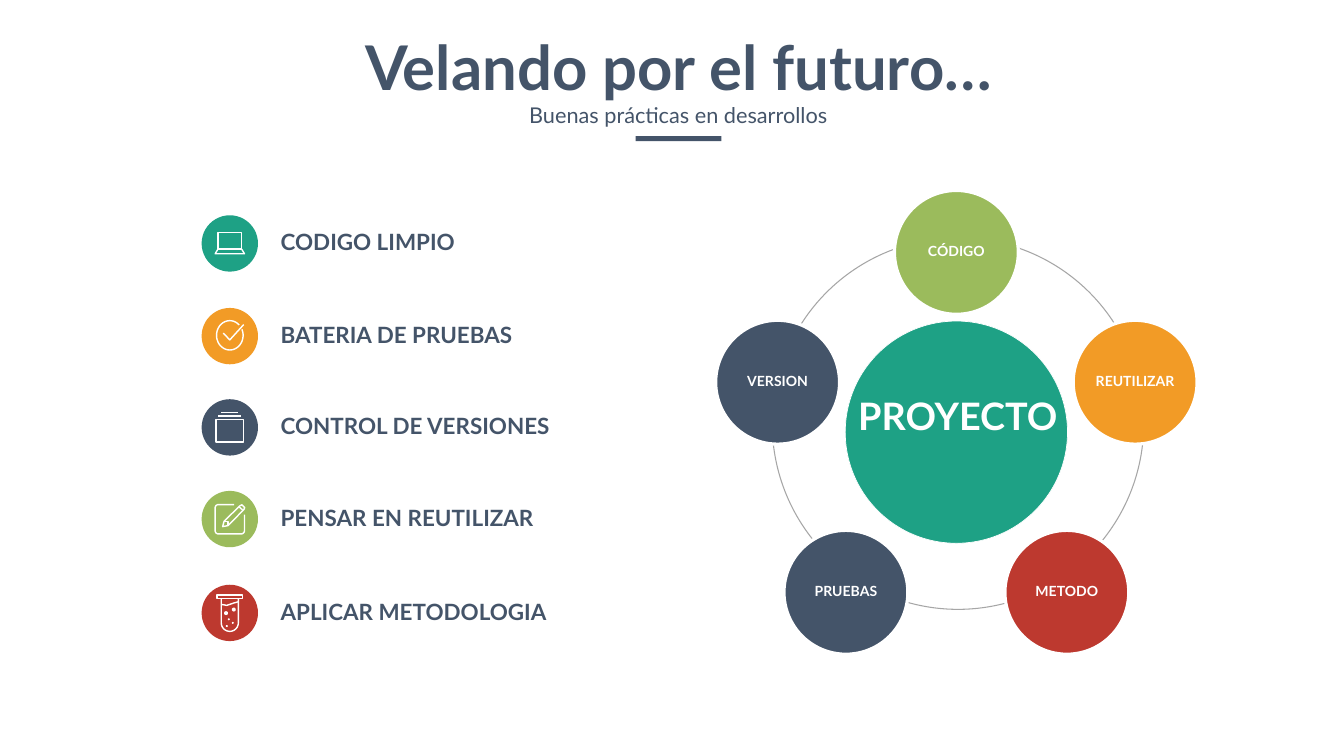
import math

import pptx
import pptx.dml.color
import pptx.enum.shapes
import pptx.enum.text
import pptx.oxml.ns
import pptx.util
from lxml import etree
from pptx.util import Cm, Pt

RGBColor = pptx.dml.color.RGBColor
SHAPE = pptx.enum.shapes.MSO_SHAPE
ALIGN = pptx.enum.text.PP_ALIGN
ANCHOR = pptx.enum.text.MSO_ANCHOR

WHITE = RGBColor(0xFF, 0xFF, 0xFF)
NAVY = RGBColor(0x44, 0x54, 0x69)
TEAL = RGBColor(0x1E, 0xA1, 0x85)
GREEN = RGBColor(0x9B, 0xBB, 0x5C)
ORANGE = RGBColor(0xF2, 0x9B, 0x26)
RED = RGBColor(0xBD, 0x39, 0x2F)
GREY = RGBColor(0xA6, 0xA6, 0xA6)
FONT = "Lato"


def rectangle(left, top, width, height):
    right, bottom = left + width, top + height
    return [(left, top), (right, top), (right, bottom), (left, bottom), (left, top)]


def arc(x, y, radius_x, radius_y, start, end, steps=36):
    angles = [math.radians(start + (end - start) * i / steps) for i in range(steps + 1)]
    return [(x + radius_x * math.cos(a), y + radius_y * math.sin(a)) for a in angles]


# Content. Icon strokes are point lists in cm from the centre of their disc.
LAPTOP = [
    rectangle(-0.6, -0.55, 1.2, 0.84),
    [(-0.6, 0.29), (0.6, 0.29), (0.74, 0.52), (-0.74, 0.52), (-0.6, 0.29)],
]
CHECK = [
    arc(0, -0.04, 0.67, 0.74, -24, 315 - 360 + 360),
    [(-0.33, -0.15), (0, 0.19), (0.7, -0.58)],
]
FOLDER = [
    rectangle(-0.69, -0.39, 1.38, 1.12),
    [(-0.58, -0.57), (0.58, -0.57)],
    [(-0.43, -0.74), (0.43, -0.74)],
]
PENCIL = [
    [(0.22, -0.73)] + arc(-0.57, -0.56, 0.17, 0.17, 270, 180, 6)
    + arc(-0.57, 0.58, 0.17, 0.17, 180, 90, 6)
    + arc(0.57, 0.58, 0.17, 0.17, 90, 0, 6) + [(0.74, -0.22)],
    [(-0.36, 0.38), (-0.29, 0.11), (0.5, -0.66), (0.61, -0.72), (0.75, -0.58),
     (0.71, -0.48), (-0.09, 0.33), (-0.36, 0.38)],
    [(0.48, -0.61), (0.64, -0.46)],
    [(-0.27, 0.13), (-0.1, 0.13), (-0.1, 0.3)],
]
TUBE = [
    rectangle(-0.64, -0.91, 1.27, 0.18),
    [(-0.43, -0.7)] + arc(0, 0.5, 0.43, 0.43, 180, 0, 18) + [(0.43, -0.7)],
    [(-0.43, -0.43), (-0.15, -0.38), (0.2, -0.5), (0.43, -0.56)],
]
BUBBLES = [(0.15, 0.5, 0.05), (0.2, -0.17, 0.1), (-0.15, 0.66, 0.05),
           (-0.19, 0.01, 0.1), (-0.05, 0.32, 0.05)]

# Label, colour, centre height, icon strokes, icon dots
PRACTICES = [
    ("CODIGO LIMPIO", TEAL, 12.27, LAPTOP, []),
    ("BATERIA DE PRUEBAS", ORANGE, 16.94, CHECK, []),
    ("CONTROL DE VERSIONES", NAVY, 21.54, FOLDER, []),
    ("PENSAR EN REUTILIZAR", GREEN, 26.16, PENCIL, []),
    ("APLICAR METODOLOGIA", RED, 30.89, TUBE, BUBBLES),
]
# Clockwise from the top
SATELLITES = [("CÓDIGO", GREEN), ("REUTILIZAR", ORANGE), ("METODO", RED),
              ("PRUEBAS", NAVY), ("VERSION", NAVY)]

deck = pptx.Presentation()
deck.slide_width, deck.slide_height = Cm(67.72), Cm(38.1)
page = deck.slides.add_slide(deck.slide_layouts[6])


def paint(shape, fill=None, line=None, weight=1):
    shape.shadow.inherit = False
    if fill is None:
        shape.fill.background()
    else:
        shape.fill.solid()
        shape.fill.fore_color.rgb = fill
    if line is None:
        shape.line.fill.background()
    else:
        shape.line.color.rgb = line
        shape.line.width = Pt(weight)


def add_disc(parent, x, y, diameter, **style):
    left, top = x - diameter / 2, y - diameter / 2
    disc = parent.shapes.add_shape(SHAPE.OVAL, Cm(left), Cm(top), Cm(diameter), Cm(diameter))
    paint(disc, **style)
    return disc


def write(shape, text, size, color, bold=True, align=ALIGN.CENTER,
          anchor=ANCHOR.TOP, insets=(0.25, 0.13, 0.25, 0.13), spacing=None, after=None):
    frame = shape.text_frame
    frame.word_wrap = False
    frame.vertical_anchor = anchor
    (frame.margin_left, frame.margin_top,
     frame.margin_right, frame.margin_bottom) = map(Cm, insets)
    para = frame.paragraphs[0]
    para.alignment = align
    para.line_spacing = spacing
    para.space_after = after
    span = para.add_run()
    span.text = text
    span.font.name, span.font.size, span.font.bold = FONT, Pt(size), bold
    span.font.color.rgb = color


def add_text(left, top, width, height, *content, **style):
    box = page.shapes.add_textbox(Cm(left), Cm(top), Cm(width), Cm(height))
    write(box, *content, **style)


def add_stroke(parent, x, y, offsets):
    points = [(Cm(x + dx), Cm(y + dy)) for dx, dy in offsets]
    if len(points) == 2:
        stroke = parent.shapes.add_connector(
            pptx.enum.shapes.MSO_CONNECTOR.STRAIGHT, *points[0], *points[1])
        etree.SubElement(stroke._element.spPr, pptx.oxml.ns.qn("a:effectLst"))
        stroke.line.color.rgb = WHITE
        stroke.line.width = Pt(2)
        return
    builder = parent.shapes.build_freeform(*points[0])
    builder.add_line_segments(points[1:], close=points[0] == points[-1])
    paint(builder.convert_to_shape(), line=WHITE, weight=2)


# Heading
rule = page.shapes.add_shape(SHAPE.RECTANGLE, Cm(32.03), Cm(6.86), Cm(4.32), Cm(0.25))
paint(rule, fill=NAVY)
add_text(16.69, 1.35, 35, 4.01, "Velando por el futuro…", 88, NAVY)
add_text(25.7, 4.55, 16.94, 2.06, "Buenas prácticas en desarrollos", 31, NAVY,
         bold=False, insets=(0.61, 0.3, 0.61, 0.3), spacing=1.2)

# Wheel: ring, hub, and satellites at equal angles
WHEEL_X, WHEEL_Y, ORBIT = 48.19, 22.19, 9.47
add_disc(page, 48.27, 21.35, 18.72, line=GREY, weight=1.5)
add_disc(page, WHEEL_X, 21.78, 11.2, fill=TEAL, line=WHITE)
for index, (label, color) in enumerate(SATELLITES):
    angle = 2 * math.pi * index / len(SATELLITES)
    satellite = add_disc(page, WHEEL_X + ORBIT * math.sin(angle),
                         WHEEL_Y - ORBIT * math.cos(angle), 6.24,
                         fill=color, line=WHITE, weight=4.5)
    write(satellite, label, 20, WHITE, anchor=ANCHOR.MIDDLE, insets=(0, 0, 0, 0), spacing=0.9)
add_text(42.37, 20.14, 11.79, 3.86, "PROYECTO", 54, WHITE,
         insets=(0.5, 1.52, 0.5, 1.02), spacing=Pt(32.3), after=Pt(32))

# List of practices
ICON_X = 11.58
for label, color, y, strokes, dots in PRACTICES:
    icon = page.shapes.add_group_shape()
    add_disc(icon, ICON_X, y, 2.84, fill=color)
    for offsets in strokes:
        add_stroke(icon, ICON_X, y, offsets)
    for dx, dy, radius in dots:
        add_disc(icon, ICON_X + dx, y + dy, 2 * radius, fill=WHITE)
    add_text(13.89, y - 0.9, 15, 1.63, label, 32, NAVY,
             align=ALIGN.LEFT, anchor=ANCHOR.MIDDLE)

deck.save("out.pptx")
